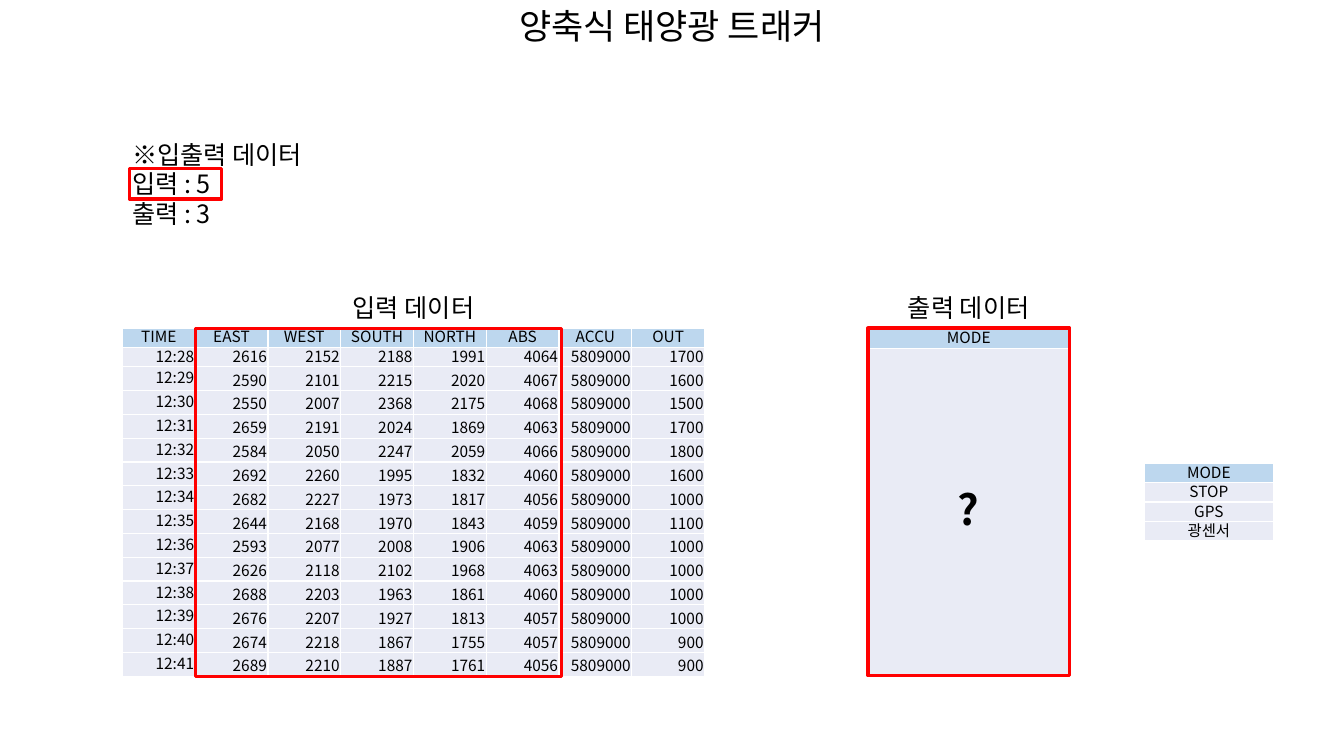
import pptx
import pptx.util
import pptx.dml.color
import pptx.enum.shapes
import pptx.enum.text
import pptx.oxml
import pptx.oxml.ns

Pt = pptx.util.Pt
ALIGN = pptx.enum.text.PP_ALIGN
ANCHOR = pptx.enum.text.MSO_ANCHOR
FONT = "Noto Sans CJK KR"
COLORS = {"text": "000000", "header": "BDD7EE", "body": "E9EBF5",
          "border": "FFFFFF", "highlight": "FF0000"}
LINE_HEIGHT = 1.19

SENSOR_HEADER = ["TIME", "EAST", "WEST", "SOUTH", "NORTH", "ABS", "ACCU", "OUT"]
ACCU = 5809000
# Time, east, west, south, north, abs, out
READINGS = [
    ("12:28", 2616, 2152, 2188, 1991, 4064, 1700),
    ("12:29", 2590, 2101, 2215, 2020, 4067, 1600),
    ("12:30", 2550, 2007, 2368, 2175, 4068, 1500),
    ("12:31", 2659, 2191, 2024, 1869, 4063, 1700),
    ("12:32", 2584, 2050, 2247, 2059, 4066, 1800),
    ("12:33", 2692, 2260, 1995, 1832, 4060, 1600),
    ("12:34", 2682, 2227, 1973, 1817, 4056, 1000),
    ("12:35", 2644, 2168, 1970, 1843, 4059, 1100),
    ("12:36", 2593, 2077, 2008, 1906, 4063, 1000),
    ("12:37", 2626, 2118, 2102, 1968, 4063, 1000),
    ("12:38", 2688, 2203, 1963, 1861, 4060, 1000),
    ("12:39", 2676, 2207, 1927, 1813, 4057, 1000),
    ("12:40", 2674, 2218, 1867, 1755, 4057, 900),
    ("12:41", 2689, 2210, 1887, 1761, 4056, 900),
]


def color(name):
    return pptx.dml.color.RGBColor.from_string(COLORS[name])


def format_paragraph(para, size, align, bold=False):
    para.alignment = align
    para.line_spacing = Pt(round(size * LINE_HEIGHT, 1))
    para.space_before = Pt(0)
    font = para.font
    font.name, font.size, font.bold = FONT, Pt(size), bold
    font.color.rgb = color("text")
    # East Asian letters take their own typeface
    east_asian = pptx.oxml.parse_xml(
        f'<a:ea {pptx.oxml.ns.nsdecls("a")} typeface="{FONT}"/>')
    font._element.find(pptx.oxml.ns.qn("a:latin")).addnext(east_asian)


def fill_text(frame, lines, size, align):
    frame.word_wrap = True
    frame.text = "\n".join(lines)
    for para in frame.paragraphs:
        format_paragraph(para, size, align)


def add_title(page, text):
    title = page.shapes.title
    title.left, title.top, title.width, title.height = Pt(0), Pt(0), Pt(960), Pt(37.4)
    fill_text(title.text_frame, [text], 25, ALIGN.CENTER)
    title.text_frame.vertical_anchor = ANCHOR.TOP


def add_label(page, left, top, width, height, lines, align):
    box = page.shapes.add_textbox(Pt(left), Pt(top), Pt(width), Pt(height))
    fill_text(box.text_frame, lines, 18, align)


def add_highlight(page, left, top, width, height):
    frame = page.shapes.add_shape(pptx.enum.shapes.MSO_SHAPE.RECTANGLE,
                                  Pt(left), Pt(top), Pt(width), Pt(height))
    frame.shadow.inherit = False
    frame.fill.background()
    frame.line.color.rgb = color("highlight")
    frame.line.width = Pt(2.25)


def format_cell(cell, text, fill, align, anchor, size=11, bold=False):
    cell.margin_left = cell.margin_right = cell.margin_top = Pt(0.7)
    cell.margin_bottom = Pt(0)
    cell.vertical_anchor = anchor
    cell.text = str(text)
    format_paragraph(cell.text_frame.paragraphs[0], size, align, bold)
    # Borders come before the fill in the cell properties
    properties = cell._tc.get_or_add_tcPr()
    for side in ("lnL", "lnR", "lnT", "lnB"):
        properties.append(pptx.oxml.parse_xml(
            f'<a:{side} {pptx.oxml.ns.nsdecls("a")} w="12700"><a:solidFill>'
            f'<a:srgbClr val="{COLORS["border"]}"/></a:solidFill></a:{side}>'))
    cell.fill.solid()
    cell.fill.fore_color.rgb = color(fill)


def add_grid(page, left, top, width, row_heights, columns):
    grid = page.shapes.add_table(len(row_heights), columns, Pt(left), Pt(top),
                                 Pt(width), Pt(sum(row_heights))).table
    for row, height in zip(grid.rows, row_heights):
        row.height = Pt(height)
    return grid


def add_sensor_table(page):
    grid = add_grid(page, 87.4, 234.3, 416, [13.6] * 2 + [17.02] * 13, 8)
    for column, name in enumerate(SENSOR_HEADER):
        format_cell(grid.cell(0, column), name, "header", ALIGN.CENTER, ANCHOR.BOTTOM)
    for row, (*values, out) in enumerate(READINGS, 1):
        for column, value in enumerate([*values, ACCU, out]):
            anchor = ANCHOR.BOTTOM if column else ANCHOR.MIDDLE
            format_cell(grid.cell(row, column), value, "body", ALIGN.RIGHT, anchor)


def add_output_table(page):
    grid = add_grid(page, 620, 234.3, 144, [14.4, 234], 1)
    format_cell(grid.cell(0, 0), "MODE", "header", ALIGN.CENTER, ANCHOR.MIDDLE)
    format_cell(grid.cell(1, 0), "?", "body", ALIGN.CENTER, ANCHOR.MIDDLE, 30, True)


def add_mode_table(page):
    grid = add_grid(page, 817.5, 331, 92, [13.7] * 4, 1)
    for row, mode in enumerate(["MODE", "STOP", "GPS", "광센서"]):
        fill, anchor = ("body", ANCHOR.MIDDLE) if row else ("header", ANCHOR.BOTTOM)
        format_cell(grid.cell(row, 0), mode, fill, ALIGN.CENTER, anchor)


def main():
    deck = pptx.Presentation()
    deck.slide_width, deck.slide_height = Pt(960), Pt(540)
    page = deck.slides.add_slide(deck.slide_layouts[5])
    add_title(page, "양축식 태양광 트래커")

    # Input and output data
    add_sensor_table(page)
    add_output_table(page)
    add_label(page, 87.4, 205.2, 416, 29, ["입력 데이터"], ALIGN.CENTER)
    add_label(page, 620, 205.2, 144, 29, ["출력 데이터"], ALIGN.CENTER)
    add_highlight(page, 139.9, 234.9, 261.5, 248.4)
    add_highlight(page, 620, 234.3, 144, 248.4)

    # Summary of the counts
    add_label(page, 87.4, 95.8, 155.5, 72.7,
              ["※입출력 데이터", "입력 : 5", "출력 : 3"], ALIGN.LEFT)
    add_highlight(page, 92.4, 120.4, 66, 21.8)

    # Output modes
    add_mode_table(page)
    deck.save("out.pptx")


if __name__ == "__main__":
    main()
